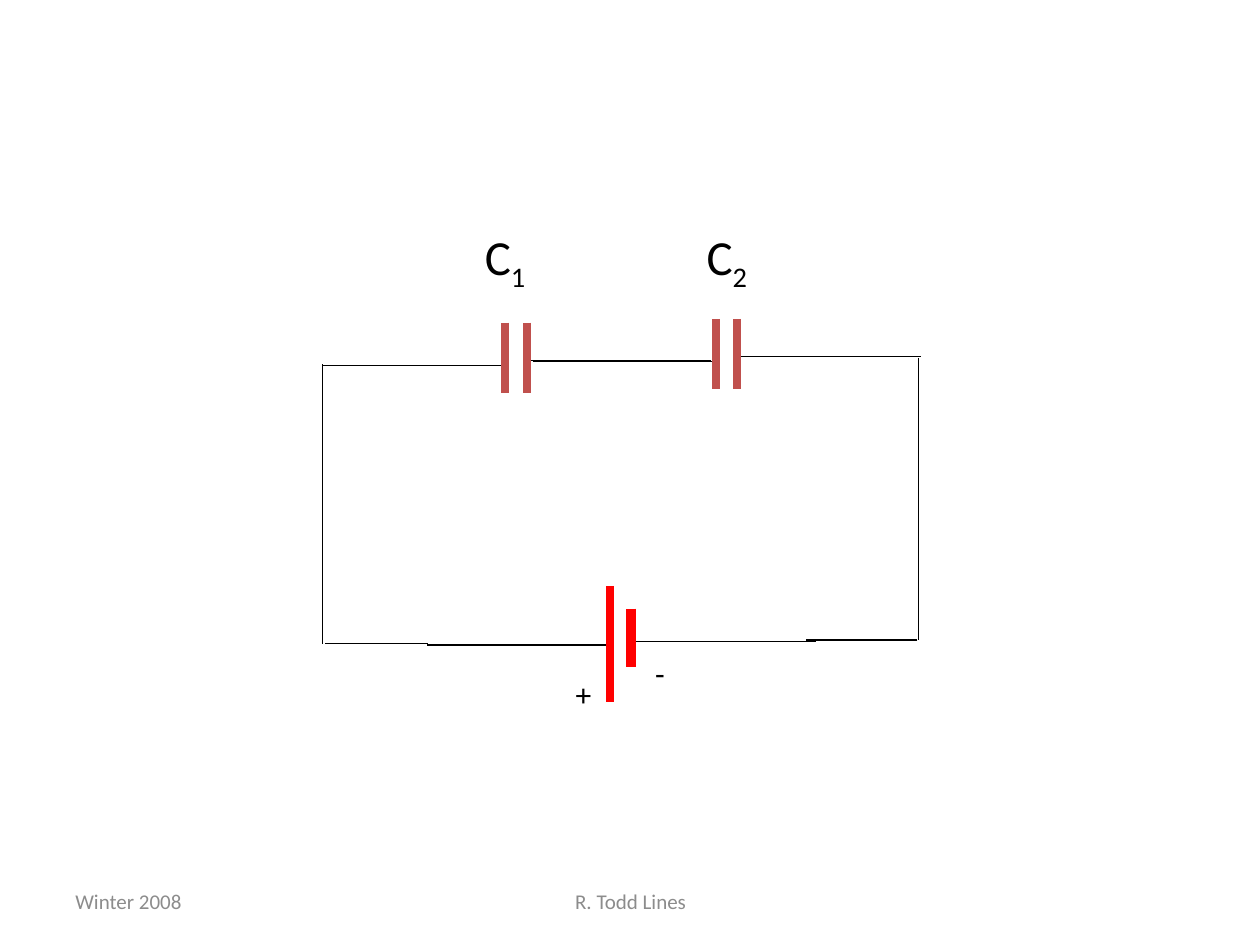
from dataclasses import dataclass

import pptx
import pptx.dml.color
import pptx.enum.shapes
import pptx.enum.text
import pptx.oxml
import pptx.oxml.ns
import pptx.util
from pptx.util import Inches


@dataclass(frozen=True)
class Theme:
    font: str = "Calibri"
    ink: str = "000000"
    footer: str = "8C8C8C"
    capacitor: str = "C0504D"
    battery: str = "FF0000"
    footer_size: int = 12
    sign_size: int = 18
    label_size: int = 28
    wire_width: float = 0.75
    plate_width: float = 4.5
    short_plate_width: float = 6


THEME = Theme()
LEAD = 1.45
PLATE_GAP = 0.17


def rgb(value):
    return pptx.dml.color.RGBColor.from_string(value)


def add_line(slide, start, end, color=THEME.ink, width=THEME.wire_width):
    line = slide.shapes.add_connector(
        pptx.enum.shapes.MSO_CONNECTOR.STRAIGHT,
        *(Inches(value) for value in (*start, *end)),
    )
    line.line.color.rgb = rgb(color)
    line.line.width = pptx.util.Pt(width)
    properties = line._element.spPr
    properties.append(pptx.oxml.parse_xml(
        f"<a:effectLst {pptx.oxml.ns.nsdecls('a')}/>"))


def add_plate(slide, x, top, bottom, color, width=THEME.plate_width):
    add_line(slide, (x, top), (x, bottom), color, width)


def add_leads(slide, x, left_y, right_y, right_offset):
    """Draw the wires that leave a pair of plates whose left one is at x."""
    right_x = x + right_offset
    add_line(slide, (x - LEAD, left_y), (x, left_y))
    add_line(slide, (right_x, right_y), (right_x + LEAD, right_y))


def add_text(slide, box, text, size, color=THEME.ink, subscript="",
             wrap=False, centred=False):
    shape = slide.shapes.add_textbox(*(Inches(value) for value in box))
    frame = shape.text_frame
    frame.word_wrap = wrap
    if wrap:
        frame.vertical_anchor = pptx.enum.text.MSO_ANCHOR.MIDDLE
    else:
        frame.auto_size = pptx.enum.text.MSO_AUTO_SIZE.SHAPE_TO_FIT_TEXT
    frame.text = text
    paragraph = frame.paragraphs[0]
    if centred:
        paragraph.alignment = pptx.enum.text.PP_ALIGN.CENTER
    if subscript:
        run = paragraph.add_run()
        run.text = subscript
        run.font._element.set("baseline", "-25000")
    for run in paragraph.runs:
        run.font.name = THEME.font
        run.font.size = pptx.util.Pt(size)
        run.font.color.rgb = rgb(color)


def add_capacitor(slide, x, top, number, label_x):
    add_leads(slide, x, top + 0.34, top + 0.3, 0.18)
    for plate_x in (x, x + PLATE_GAP):
        add_plate(slide, plate_x, top, top + 0.56, THEME.capacitor)
    add_text(slide, (label_x, 1.75, 0.63, 0.57), "C", THEME.label_size,
             subscript=number)


def add_battery(slide, x):
    add_leads(slide, x, 5.12, 5.09, 0.19)
    add_plate(slide, x, 4.65, 5.57, THEME.battery)
    add_plate(slide, x + PLATE_GAP, 4.83, 5.29, THEME.battery,
              THEME.short_plate_width)
    add_text(slide, (4.47, 5.31, 0.33, 0.37), "+", THEME.sign_size)
    add_text(slide, (5.1, 5.14, 0.28, 0.37), "-", THEME.sign_size)


def add_return_wires(slide):
    """Join the outer capacitor leads to the battery leads."""
    add_line(slide, (2.56, 2.89), (2.56, 5.11))
    add_line(slide, (2.58, 5.11), (3.4, 5.11))
    add_line(slide, (7.29, 2.84), (7.29, 5.08))
    add_line(slide, (7.28, 5.08), (6.4, 5.08))


def add_footer(slide):
    add_text(slide, (0.5, 6.95, 2.33, 0.4), "Winter 2008",
             THEME.footer_size, THEME.footer, wrap=True)
    add_text(slide, (3.42, 6.95, 3.17, 0.4), "R. Todd Lines",
             THEME.footer_size, THEME.footer, wrap=True, centred=True)


def main():
    presentation = pptx.Presentation()
    presentation.slide_width = Inches(10)
    presentation.slide_height = Inches(7.5)
    slide = presentation.slides.add_slide(presentation.slide_layouts[6])
    add_footer(slide)
    add_capacitor(slide, 4.01, 2.56, "1", 3.75)
    add_capacitor(slide, 5.68, 2.53, "2", 5.51)
    add_battery(slide, 4.84)
    add_return_wires(slide)
    presentation.save("out.pptx")


if __name__ == "__main__":
    main()
